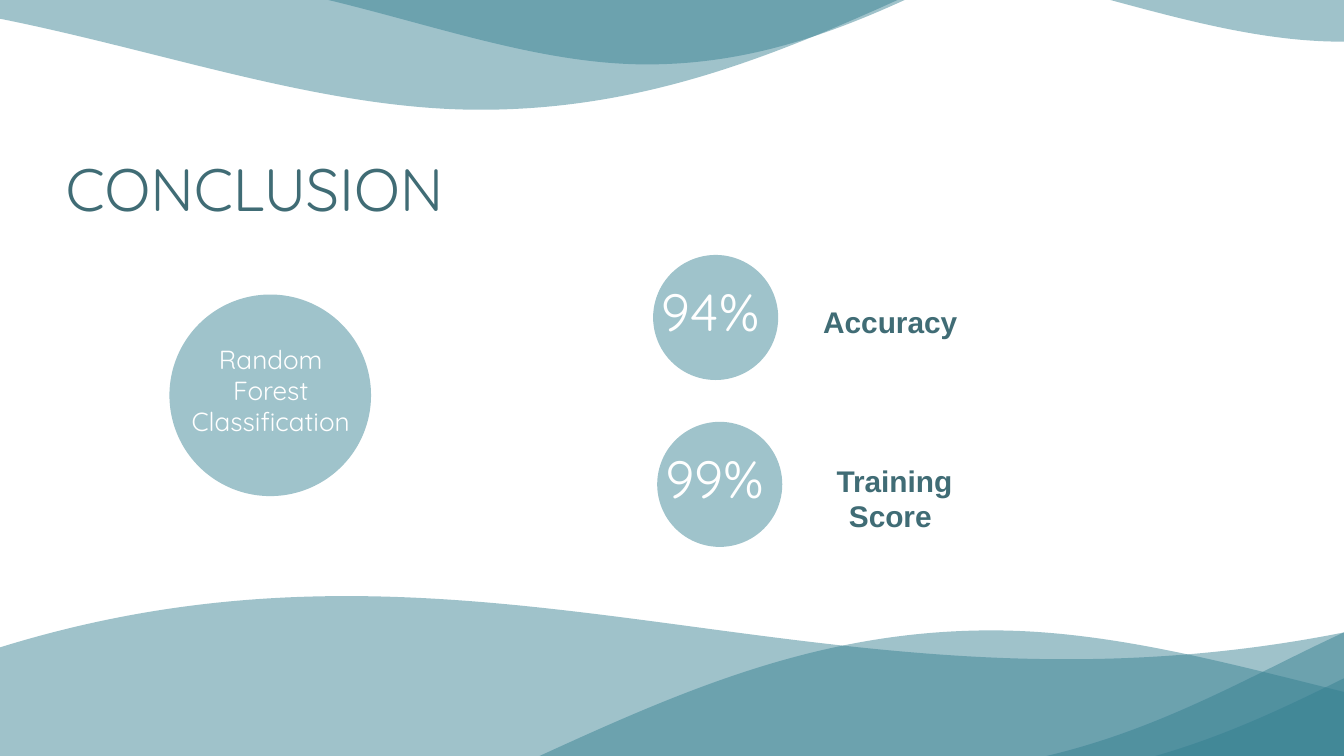
from lxml.etree import SubElement
from pptx import Presentation
from pptx.dml.color import RGBColor
from pptx.enum.shapes import MSO_SHAPE
from pptx.enum.text import PP_ALIGN
from pptx.oxml.ns import qn
from pptx.util import Pt

WAVE_TEAL = RGBColor(0x33, 0x7E, 0x90)
CIRCLE_TEAL = RGBColor(0x9F, 0xC3, 0xCB)
TEXT_TEAL = RGBColor(0x40, 0x6C, 0x75)
WHITE = RGBColor(0xFF, 0xFF, 0xFF)

CREST = [
    [(0, 64)],
    [(13.1, 64), (24.9, 100), (36.5, 100)],
    [(57.5, 100), (68.3, 0), (100, 0)],
    [(0, 0)],
]
SWELL = [
    [(0, 100)],
    [(100, 100)],
    [(100, 0)],
    [(68.8, 84.6), (27.6, 50), (0, 100)],
]
WAVES = [
    (CREST, (449.3, -111.6, 738.7, 133.9), 0),
    (CREST, (77, -99.4, 738.7, 133.9), 0),
    (CREST, (-113, -111.6, 1014.5, 170.4), 0),
    (CREST, (451.4, 305.3, 600.5, 133.9), 185),
    (CREST, (493.2, 309.6, 600.5, 133.9), 185),
    (CREST, (-113, 337.7, 1014.5, 170.4), 180),
    (SWELL, (30.2, -261.4, 1018.8, 1005.8), 30.5),
]
SCORES = [
    ("94%", "Accuracy ", (347, 136.6, 194.5, 75), 2.9, 18.7),
    ("99%", "Training Score ", (349.4, 226, 192.1, 70.6), 2.7, 14.4),
]


def bend_segments(path, outline):
    """Turn each run of three line segments that stands for a curve into one."""
    segments = iter(path.findall(qn("a:lnTo")))
    for points in outline[1:]:
        first, *others = [next(segments) for _ in points]
        if others:
            curve = SubElement(path, qn("a:cubicBezTo"))
            path.replace(first, curve)
            for segment in (first, *others):
                curve.append(segment[0])
            for segment in others:
                path.remove(segment)


def add_wave(slide, outline, box, rotation):
    """Draw a translucent wave from an outline in percent of its box."""
    left, top, width, height = box
    points = [
        (Pt(left + width * x / 100), Pt(top + height * y / 100))
        for segment in outline
        for x, y in segment
    ]
    builder = slide.shapes.build_freeform(*points[0])
    builder.add_line_segments(points[1:], close=True)
    wave = builder.convert_to_shape()
    bend_segments(wave.element.spPr.find(".//" + qn("a:path")), outline)
    wave.rotation = rotation
    wave.shadow.inherit = False
    wave.fill.solid()
    wave.fill.fore_color.rgb = WAVE_TEAL
    wave.line.fill.background()
    color = wave.element.spPr.find(".//" + qn("a:srgbClr"))
    SubElement(color, qn("a:alpha"), val="47000")


def add_circle(slide, left, top, diameter):
    """Draw a plain circle."""
    circle = slide.shapes.add_shape(
        MSO_SHAPE.OVAL, Pt(left), Pt(top), Pt(diameter), Pt(diameter))
    circle.shadow.inherit = False
    circle.fill.solid()
    circle.fill.fore_color.rgb = CIRCLE_TEAL
    circle.line.fill.background()


def add_text(slide, text, box, size, color, font="Quicksand", bold=False,
             alignment=PP_ALIGN.LEFT):
    """Write one wrapped paragraph in a box."""
    frame = slide.shapes.add_textbox(*(Pt(length) for length in box)).text_frame
    frame.word_wrap = True
    frame.margin_left = frame.margin_right = Pt(7.2)
    frame.margin_top = frame.margin_bottom = Pt(7.2)
    frame.text = text
    paragraph = frame.paragraphs[0]
    paragraph.alignment = alignment
    run_font = paragraph.runs[0].font
    run_font.name = font
    run_font.size = Pt(size)
    run_font.bold = bold
    run_font.color.rgb = color
    return paragraph


def add_method(slide, box):
    """Place the large circle naming the method."""
    left, top, diameter = box
    add_circle(slide, left, top, diameter)
    add_text(slide, "Random Forest Classification", (left + 2.8, top + 18.7, 103, 89.3),
             14, WHITE, alignment=PP_ALIGN.CENTER)


def add_score(slide, percentage, label, box, inset, label_drop):
    """Place a circled percentage with its label at the right of the box."""
    left, top, width, height = box
    label_width = 124.6
    add_circle(slide, left + inset, top, 67)
    add_text(slide, percentage, (left, top + 6, 72, 53.3), 28, WHITE)
    paragraph = add_text(
        slide, label,
        (left + width - label_width, top + label_drop, label_width, height - label_drop),
        16, TEXT_TEAL, font="Arial", bold=True, alignment=PP_ALIGN.CENTER)
    paragraph.space_after = Pt(16)


def main():
    """Build and save the conclusion slide."""
    presentation = Presentation()
    presentation.slide_width = Pt(720)
    presentation.slide_height = Pt(405)
    slide = presentation.slides.add_slide(presentation.slide_layouts[6])
    for outline, box, rotation in WAVES:
        add_wave(slide, outline, box, rotation)
    add_text(slide, "CONCLUSION", (28.1, 73.9, 244, 89.3), 32, TEXT_TEAL)
    add_method(slide, (90.8, 157.8, 108))
    for percentage, label, box, inset, label_drop in SCORES:
        add_score(slide, percentage, label, box, inset, label_drop)
    presentation.save("out.pptx")


if __name__ == "__main__":
    main()
